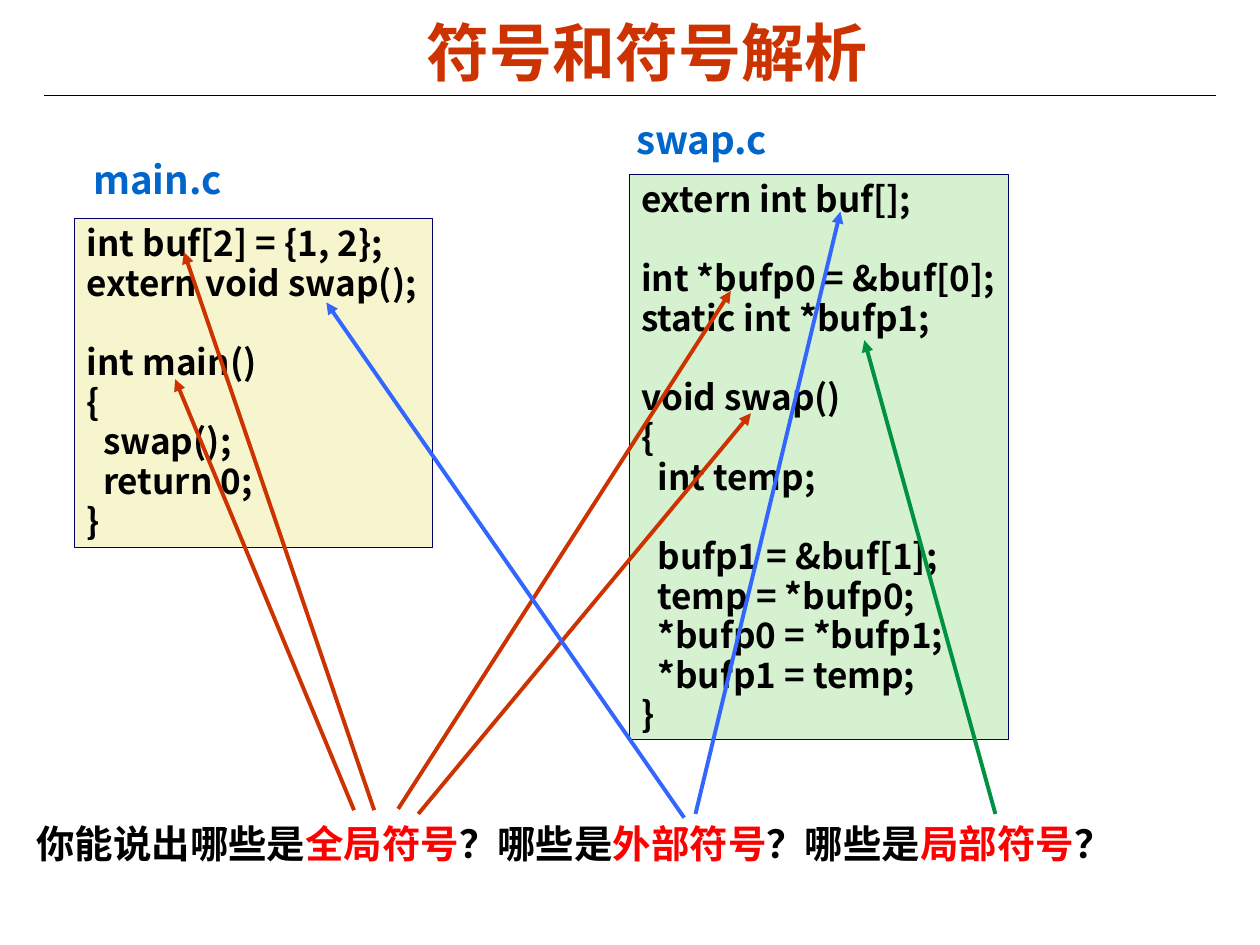
import pptx
import pptx.util
import pptx.dml.color
import pptx.enum.shapes
import pptx.enum.text
import pptx.oxml.ns
from lxml import etree

COLORS = {
    "text": "000000", "title": "CC3300", "label": "0066CC", "keyword": "FF0000",
    "main": "F7F5CD", "swap": "D5F1CF", "border": "000066",
    "global": "CC3300", "external": "3366FF", "local": "009242",
}
CODE_FONT = "Noto Sans CJK SC"
TEXT_FONT = "Arial"
COLUMNS, ROWS = 100, 75

MAIN_CODE = """int buf[2] = {1, 2};
extern void swap();

int main()
{
  swap();
  return 0;
}"""

SWAP_CODE = """extern int buf[];

int *bufp0 = &buf[0];
static int *bufp1;

void swap()
{
  int temp;

  bufp1 = &buf[1];
  temp = *bufp0;
  *bufp0 = *bufp1;
  *bufp1 = temp;
}"""


class SymbolSlide:
    def __init__(self, deck):
        self.slide = deck.slides.add_slide(deck.slide_layouts[6])
        self.column = deck.slide_width / COLUMNS
        self.row = deck.slide_height / ROWS

    def place(self, left, top, width, height):
        return (round(left * self.column), round(top * self.row),
                round(width * self.column), round(height * self.row))

    def color(self, name):
        return pptx.dml.color.RGBColor.from_string(COLORS[name])

    def style(self, run, size, font, color):
        run.font.size = pptx.util.Pt(size)
        run.font.name = font
        run.font.bold = True
        run.font.color.rgb = self.color(color)
        east_asian = etree.SubElement(run.font._element, pptx.oxml.ns.qn("a:ea"))
        east_asian.set("typeface", CODE_FONT)

    def text(self, place, parts, size, font, pitch, centered=False):
        frame = self.slide.shapes.add_textbox(*self.place(*place)).text_frame
        frame.word_wrap = True
        line = frame.paragraphs[0]
        line.line_spacing = pptx.util.Pt(pitch)
        if centered:
            line.alignment = pptx.enum.text.PP_ALIGN.CENTER
            frame.vertical_anchor = pptx.enum.text.MSO_ANCHOR.MIDDLE
        for words, color in parts:
            run = line.add_run()
            run.text = words
            self.style(run, size, font, color)

    def code(self, place, source, fill, pitch=22.65, indent=1.3):
        listing = self.slide.shapes.add_shape(
            pptx.enum.shapes.MSO_SHAPE.RECTANGLE, *self.place(*place))
        listing.shadow.inherit = False
        listing.fill.solid()
        listing.fill.fore_color.rgb = self.color(fill)
        listing.line.color.rgb = self.color("border")
        listing.line.width = pptx.util.Pt(0.25)
        frame = listing.text_frame
        frame.word_wrap = False
        frame.vertical_anchor = pptx.enum.text.MSO_ANCHOR.TOP
        lines = source.split("\n")
        frame.text = "\n".join(line.strip() for line in lines if line)
        paragraphs = iter(frame.paragraphs)
        after_gap = False
        for line in lines:
            if line:
                paragraph = next(paragraphs)
                paragraph.alignment = pptx.enum.text.PP_ALIGN.LEFT
                paragraph.line_spacing = pptx.util.Pt(pitch)
                paragraph.space_before = pptx.util.Pt(pitch if after_gap else 0)
                if line.startswith(" "):
                    paragraph._p.get_or_add_pPr().set("marL", str(round(indent * self.column)))
                self.style(paragraph.runs[0], 20, CODE_FONT, "text")
            after_gap = not line

    def line(self, start, end, color, width, arrow=False):
        connector = self.slide.shapes.add_connector(
            pptx.enum.shapes.MSO_CONNECTOR.STRAIGHT, *self.place(*start, *end))
        connector.line.color.rgb = self.color(color)
        connector.line.width = pptx.util.Pt(width)
        if arrow:
            head = etree.SubElement(connector.line._get_or_add_ln(),
                                    pptx.oxml.ns.qn("a:tailEnd"))
            head.set("type", "triangle")
        etree.SubElement(connector._element.spPr, pptx.oxml.ns.qn("a:effectLst"))


def main():
    deck = pptx.Presentation()
    deck.slide_width = pptx.util.Inches(10)
    deck.slide_height = pptx.util.Inches(7.5)
    page = SymbolSlide(deck)

    page.line((3.5, 7.6), (96.5, 7.6), "text", 0.75)
    page.text((3.7, -0.2, 95.3, 8.6), [("符号和符号解析", "title")],
              36, TEXT_FONT, 43, centered=True)

    page.code((5.9, 17.3, 28.4, 26.1), MAIN_CODE, "main")
    page.text((6.4, 12.1, 12.9, 4.5), [("main.c", "label")], 22, CODE_FONT, 25)
    page.code((49.9, 13.8, 30.1, 44.9), SWAP_CODE, "swap")
    page.text((49.5, 8.9, 14.6, 4.5), [("swap.c", "label")], 22, CODE_FONT, 25)

    question = [("你能说出哪些是", "text"), ("全局符号", "keyword"),
                ("？哪些是", "text"), ("外部符号", "keyword"),
                ("？哪些是", "text"), ("局部符号", "keyword"), ("？", "text")]
    page.text((1.9, 64.6, 89.5, 4.7), question, 22, TEXT_FONT, 26.6)

    symbol_arrows = {
        "global": [((29.7, 64.3), (14.6, 20)), ((28.1, 64.3), (13.9, 30.1)),
                   ((31.6, 64.2), (58, 23.1)), ((33.2, 64.6), (59.6, 32.8))],
        "external": [((54.3, 64.9), (25.9, 24)), ((55.2, 64.6), (66.7, 16.8))],
        "local": [((79, 64.6), (68.6, 27))],
    }
    for kind, arrows in symbol_arrows.items():
        for question_end, code_end in arrows:
            page.line(question_end, code_end, kind, 2.25, arrow=True)

    deck.save("out.pptx")


if __name__ == "__main__":
    main()
